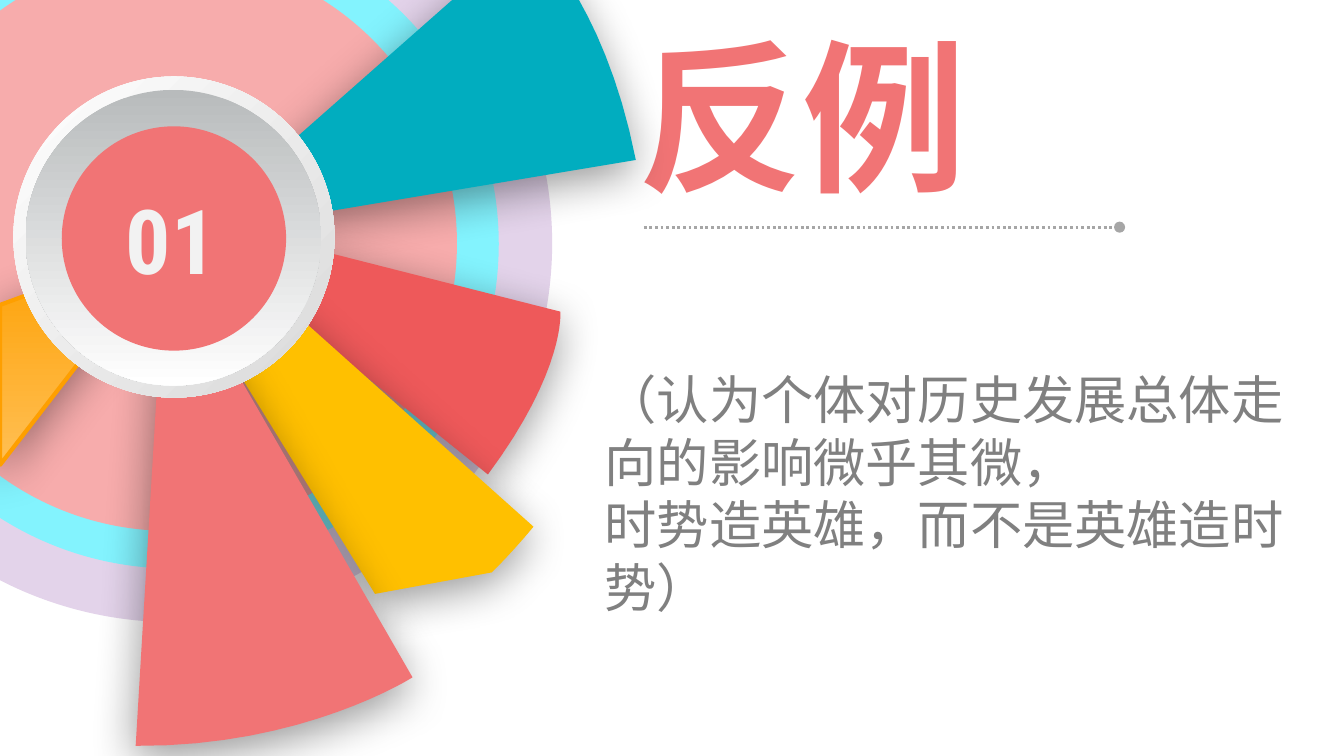
from lxml.etree import SubElement
from pptx import Presentation
from pptx.dml.color import RGBColor
from pptx.enum.dml import MSO_LINE
from pptx.enum.shapes import MSO_CONNECTOR, MSO_SHAPE
from pptx.enum.text import MSO_ANCHOR, MSO_AUTO_SIZE, PP_ALIGN
from pptx.oxml.ns import qn
from pptx.util import Pt

COLORS = {
    "lilac": "E3D3EA", "cyan": "83F3FE", "blush": "F7ACAC",
    "teal": "01ADBF", "red": "EE595A", "yellow": "FFC000", "coral": "F17475",
    "orange": "FE9F00", "light orange": "FFBF53",
    "silver": "D9D9D9", "steel": "B8BBBC", "white": "FFFFFF",
    "rule": "A6A6A6", "text": "808080", "number": "F2F2F2",
}
CURVE_STEPS = 16


def paint(shape, *names):
    """Fill with one colour, or with a gradient running down between two."""
    shape.shadow.inherit = False
    shape.line.fill.background()
    if len(names) == 1:
        shape.fill.solid()
        shape.fill.fore_color.rgb = RGBColor.from_string(COLORS[names[0]])
        return
    shape.fill.gradient()
    shape.fill.gradient_angle = 270
    for stop, name in zip(shape.fill.gradient_stops, names):
        stop.color.rgb = RGBColor.from_string(COLORS[name])


def write(shape, box, lines, size, font, color, bold=False, spacing=1.2):
    """Place a text shape and fill it with one paragraph per line."""
    shape.left, shape.top, shape.width, shape.height = map(Pt, box)
    frame = shape.text_frame
    frame.auto_size = MSO_AUTO_SIZE.NONE
    frame.vertical_anchor = MSO_ANCHOR.TOP
    frame.margin_left = frame.margin_right = Pt(5)
    frame.margin_top = frame.margin_bottom = Pt(3)
    for index, line in enumerate(lines):
        paragraph = frame.paragraphs[0] if index == 0 else frame.add_paragraph()
        properties = paragraph._p.get_or_add_pPr()
        properties.set("marL", "0")
        properties.set("indent", "0")
        SubElement(properties, qn("a:buNone"))
        paragraph.alignment = PP_ALIGN.LEFT
        paragraph.space_before = Pt(0)
        paragraph.line_spacing = spacing
        run = paragraph.add_run()
        run.text = line
        run.font.size = Pt(size)
        run.font.name = font
        run.font.bold = bold
        run.font.color.rgb = RGBColor.from_string(COLORS[color])
        east_asian = SubElement(run._r.get_or_add_rPr(), qn("a:ea"))
        east_asian.set("typeface", font)


presentation = Presentation()
presentation.slide_width, presentation.slide_height = Pt(720), Pt(405)
slide = presentation.slides.add_slide(presentation.slide_layouts[1])
shapes = slide.shapes

# Rings behind the wedges: left, top, diameter
for left, top, diameter, color in [
    (-110.2, -72.7, 406, "lilac"),
    (-80.6, -43.2, 347.8, "cyan"),
    (-63.4, -23.8, 308.2, "blush"),
]:
    ring = shapes.add_shape(MSO_SHAPE.OVAL, Pt(left), Pt(top), Pt(diameter), Pt(diameter))
    paint(ring, color)

# Wedges: tip, start of the rim, control point of the rim, rest of the outline
for tip, start, control, rest, colors in [
    ((99.4, 126), (283, -36), (323.3, -2.2), [(340.6, 85.7)], ["teal"]),
    ((85, 112.3), (300.2, 167), (303.1, 198), [(261.4, 254.2)], ["red"]),
    ((46.8, 68.4), (285.8, 282.2), (276.5, 293.8), [(263.5, 306.7), (200.9, 318.2)], ["yellow"]),
    ((88.6, 133.2), (221, 362.9), (162.7, 400.3), [(72.7, 399.6)], ["coral"]),
    ((92.2, 129.6), (0, 249.1), None, [(0, 163.4)], ["orange", "light orange"]),
]:
    outline = [start]
    if control:
        for step in range(1, CURVE_STEPS):
            t = step / CURVE_STEPS
            weights = (1 - t) ** 3 + 3 * t * (1 - t) ** 2, 3 * t ** 2 * (1 - t), t ** 3
            outline.append(tuple(
                sum(weight * value for weight, value in zip(weights, values))
                for values in zip(start, control, rest[0])
            ))
    outline += rest
    builder = shapes.build_freeform(tip[0] * 100, tip[1] * 100, scale=Pt(1) / 100)
    builder.add_line_segments([(x * 100, y * 100) for x, y in outline], close=True)
    wedge = builder.convert_to_shape()
    paint(wedge, *colors)
    if len(colors) == 2:
        wedge.line.color.rgb = RGBColor.from_string(COLORS[colors[0]])
        wedge.line.width = Pt(2.25)
    effects = wedge._element.spPr.find(qn("a:effectLst"))
    shadow = SubElement(effects, qn("a:outerShdw"), blurRad=str(Pt(24)), dist=str(Pt(6)),
                        dir="6000000", algn="t", rotWithShape="0")
    shadow_color = SubElement(shadow, qn("a:srgbClr"), val="000000")
    SubElement(shadow_color, qn("a:alpha"), val="40000")

# Hub
for left, top, diameter, colors in [
    (7.2, 41, 172, ["silver", "white"]),
    (13.7, 48.2, 158.4, ["steel", "white"]),
    (33.1, 67.7, 120.2, ["coral"]),
]:
    disc = shapes.add_shape(MSO_SHAPE.OVAL, Pt(left), Pt(top), Pt(diameter), Pt(diameter))
    paint(disc, *colors)
    if colors[0] == "silver":
        gradient = disc._element.spPr.find(qn("a:gradFill"))
        gradient.remove(gradient.find(qn("a:lin")))
        radial = SubElement(gradient, qn("a:path"), path="circle")
        SubElement(radial, qn("a:fillToRect"), l="100000", t="100000")

# Dotted rule under the title
rule = shapes.add_connector(MSO_CONNECTOR.STRAIGHT, Pt(344.9), Pt(121.7), Pt(599.8), Pt(121.7))
rule.line.color.rgb = RGBColor.from_string(COLORS["rule"])
rule.line.width = Pt(1.5)
rule.line.dash_style = MSO_LINE.ROUND_DOT
SubElement(rule.line._get_or_add_ln(), qn("a:tailEnd"), type="oval")
SubElement(rule._element.spPr, qn("a:effectLst"))

# Text
write(shapes.title, (337, 5, 188.6, 112.3), ["反例"], 88, "Noto Sans CJK SC", "coral",
      bold=True, spacing=Pt(105.6))
write(slide.placeholders[1], (319, 193.7, 380.2, 141.1),
      ["（认为个体对历史发展总体走向的影响微乎其微，", "时势造英雄，而不是英雄造时势）"],
      28, "Noto Sans CJK SC", "text", spacing=Pt(33.6))
number = shapes.add_textbox(Pt(60.5), Pt(107.3), Pt(62.6), Pt(54))
write(number, (60.5, 107.3, 62.6, 54), ["01"], 48, "Roboto Condensed", "number",
      bold=True, spacing=0.8)
number.text_frame.paragraphs[0].alignment = PP_ALIGN.CENTER

presentation.save("out.pptx")
